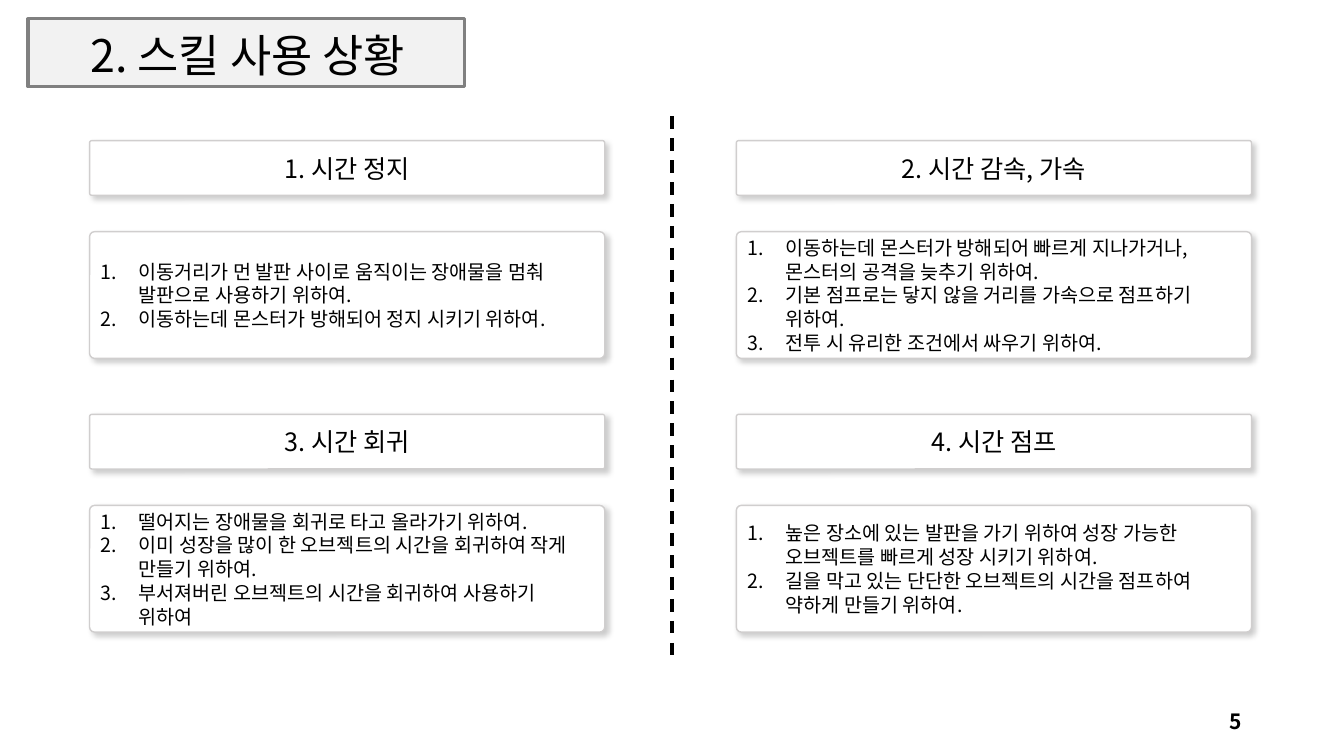
import pptx
import pptx.util
import pptx.dml.color
import pptx.enum.dml
import pptx.enum.shapes
import pptx.enum.text
import lxml.etree
from dataclasses import dataclass

Pt = pptx.util.Pt
Shape = pptx.enum.shapes.MSO_SHAPE
Align = pptx.enum.text.PP_ALIGN
Anchor = pptx.enum.text.MSO_ANCHOR
Color = pptx.dml.color.RGBColor.from_string
sub = lxml.etree.SubElement
tag = pptx.oxml.ns.qn


@dataclass
class Theme:
    font: str = "Noto Sans CJK KR"
    ink: str = "000000"
    card: str = "FFFFFF"
    edge: str = "D0CECE"
    band: str = "F2F2F2"
    rim: str = "808080"
    title: int = 32
    head: int = 18
    body: int = 14
    page: int = 15


theme = Theme()


def write(shape, text, size, align=Align.CENTER, anchor=Anchor.MIDDLE, bold=False, space=None, listed=False):
    frame = shape.text_frame
    frame.word_wrap = True
    frame.vertical_anchor = anchor
    frame.text = text
    for para in frame.paragraphs:
        para.alignment = align
        para.line_spacing = space
        font = para.font
        for run in para.runs:
            font = run.font
            font.name, font.size, font.bold = theme.font, Pt(size), bold
            font.color.rgb = Color(theme.ink)
            sub(font._element, tag("a:ea")).set("typeface", theme.font)
        if listed:
            props = para._p.get_or_add_pPr()
            props.set("marL", str(Pt(27)))
            props.set("indent", str(Pt(-27)))
            sub(props, tag("a:buFont")).set("typeface", theme.font)
            sub(props, tag("a:buAutoNum")).set("type", "arabicPeriod")


def panel(kind, left, top, width, height, fill, edge, weight):
    shape = slide.shapes.add_shape(kind, Pt(left), Pt(top), Pt(width), Pt(height))
    shape.shadow.inherit = False
    shape.fill.solid()
    shape.fill.fore_color.rgb = Color(fill)
    shape.line.color.rgb = Color(edge)
    shape.line.width = Pt(weight)
    return shape


deck = pptx.Presentation()
deck.slide_width, deck.slide_height = Pt(960), Pt(540)
slide = deck.slides.add_slide(deck.slide_layouts[6])

panel(Shape.RECTANGLE, 20, 13.5, 312, 48.5, theme.band, theme.rim, 2.25)
title = slide.shapes.add_textbox(Pt(27.5), Pt(15), Pt(299), Pt(47))
write(title, "2. 스킬 사용 상황", theme.title, anchor=Anchor.BOTTOM, space=0.9)
page = slide.shapes.add_textbox(Pt(678), Pt(500.5), Pt(216), Pt(28.75))
write(page, "5", theme.page, align=Align.RIGHT, bold=True)

rule = slide.shapes.add_connector(pptx.enum.shapes.MSO_CONNECTOR.STRAIGHT, Pt(480), Pt(83), Pt(480), Pt(471))
rule.line.color.rgb = Color(theme.ink)
rule.line.width = Pt(2.25)
rule.line.dash_style = pptx.enum.dml.MSO_LINE.DASH
sub(rule._element.spPr, tag("a:effectLst"))

skills = [
    ("1. 시간 정지", [
        "이동거리가 먼 발판 사이로 움직이는 장애물을 멈춰 발판으로 사용하기 위하여.",
        "이동하는데 몬스터가 방해되어 정지 시키기 위하여."]),
    ("2. 시간 감속, 가속", [
        "이동하는데 몬스터가 방해되어 빠르게 지나가거나, 몬스터의 공격을 늦추기 위하여.",
        "기본 점프로는 닿지 않을 거리를 가속으로 점프하기 위하여.",
        "전투 시 유리한 조건에서 싸우기 위하여."]),
    ("3. 시간 회귀", [
        "떨어지는 장애물을 회귀로 타고 올라가기 위하여.",
        "이미 성장을 많이 한 오브젝트의 시간을 회귀하여 작게 만들기 위하여.",
        "부서져버린 오브젝트의 시간을 회귀하여 사용하기 위하여"]),
    ("4. 시간 점프", [
        "높은 장소에 있는 발판을 가기 위하여 성장 가능한 오브젝트를 빠르게 성장 시키기 위하여.",
        "길을 막고 있는 단단한 오브젝트의 시간을 점프하여 약하게 만들기 위하여."]),
]

for spot, (head, goals) in enumerate(skills):
    row, col = divmod(spot, 2)
    left, top = 64 + col * 462, 100.5 + row * 195.5
    parts = [
        (top, 39, head, dict(size=theme.head)),
        (top + 65, 90.5, "\n".join(goals),
         dict(size=theme.body, align=Align.LEFT, space=Pt(17), listed=True)),
    ]
    for high, tall, text, style in parts:
        card = panel(Shape.ROUNDED_RECTANGLE, left, high, 368, tall, theme.card, theme.edge, 1)
        card.adjustments[0] = 0.04
        glow = sub(card._element.spPr.find(tag("a:effectLst")), tag("a:outerShdw"),
                   blurRad=str(Pt(4)), dist=str(Pt(3)), dir="2700000", algn="tl", rotWithShape="0")
        tint = sub(glow, tag("a:srgbClr"), val=theme.ink)
        sub(tint, tag("a:alpha"), val="20000")
        write(card, text, **style)

deck.save("out.pptx")
